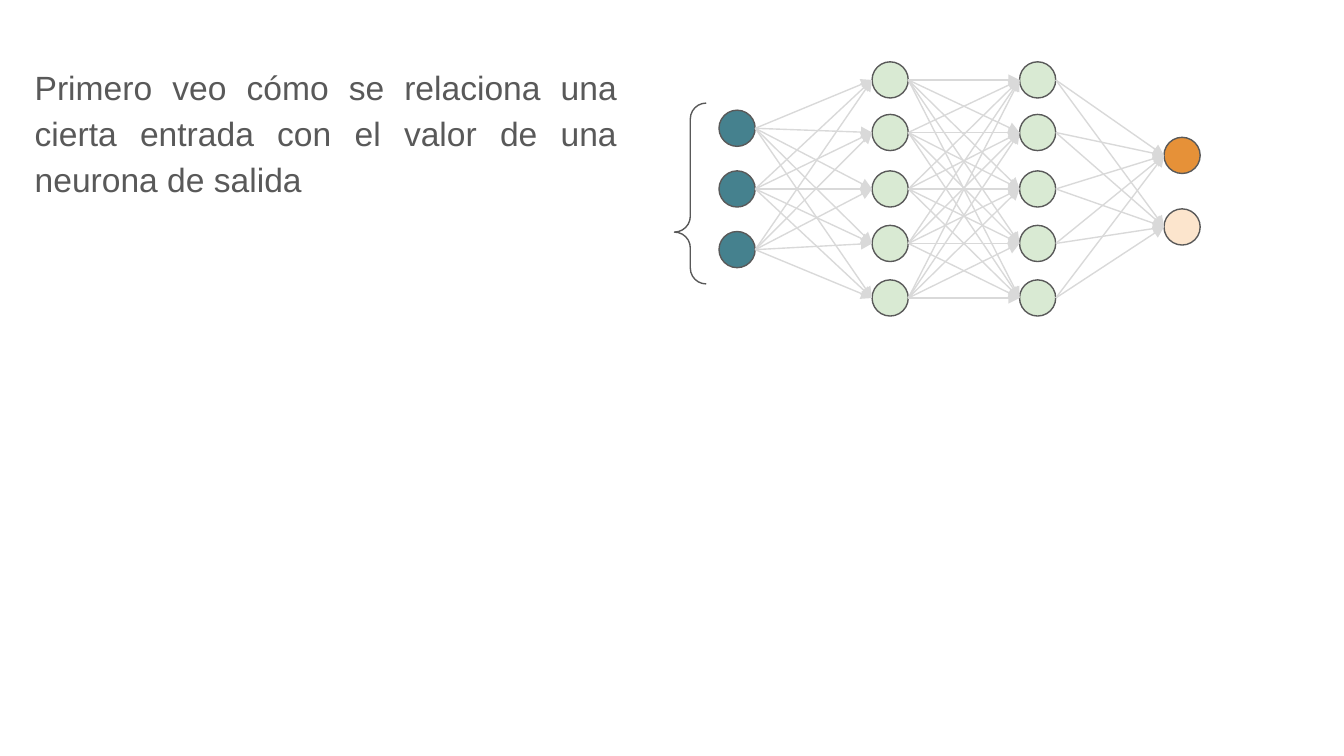
import itertools

import pptx
import pptx.dml.color
import pptx.enum.shapes
import pptx.enum.text
import pptx.oxml.ns
import pptx.util
from lxml import etree

Pt = pptx.util.Pt
SHAPES = pptx.enum.shapes.MSO_SHAPE

# Content
SENTENCE = ("Primero veo cómo se relaciona una cierta entrada "
            "con el valor de una neurona de salida")
SENTENCE_BOX = (11.5, 25.2, 326.2, 134.6)
SENTENCE_FONT = {"name": "Arial", "size": Pt(18)}
SENTENCE_FORMAT = {"alignment": pptx.enum.text.PP_ALIGN.JUSTIFY, "line_spacing": 1.15}

DARK, EDGE = "595959", "D9D9D9"
INPUT, HIDDEN, CHOSEN, OTHER = "45818E", "D9EAD3", "E69138", "FCE5CD"
DIAMETER = 19.4
LINE_WIDTH = 0.75
HIDDEN_CENTERS = (42.85, 71, 101.25, 130.45, 159.65)

# Each layer: left edge, neuron centers from top to bottom, neuron fills
LAYERS = [
    (385.2, (68.75, 101.25, 133.75), (INPUT,) * 3),
    (467.2, HIDDEN_CENTERS, (HIDDEN,) * 5),
    (546.2, HIDDEN_CENTERS, (HIDDEN,) * 5),
    (623.6, (83.3, 121.6), (CHOSEN, OTHER)),
]
BRACE_BOX = (361.3, 55.2, 17, 96.9)
BRACE_ADJUSTMENTS = (0.5, 0.287)


def color(value):
    return pptx.dml.color.RGBColor.from_string(value)


def set_line(line, value):
    line.color.rgb = color(value)
    line.width = Pt(LINE_WIDTH)


def add_outline(parent, kind, bounds, fill=None):
    shape = parent.shapes.add_shape(kind, *map(Pt, bounds))
    shape.shadow.inherit = False
    if fill:
        shape.fill.solid()
        shape.fill.fore_color.rgb = color(fill)
    else:
        shape.fill.background()
    set_line(shape.line, DARK)
    return shape


def add_arrow(parent, start, end):
    arrow = parent.shapes.add_connector(
        pptx.enum.shapes.MSO_CONNECTOR.STRAIGHT, *map(Pt, start + end))
    set_line(arrow.line, EDGE)
    name = pptx.oxml.ns.qn
    etree.SubElement(arrow.line._get_or_add_ln(), name("a:tailEnd"), type="triangle")
    etree.SubElement(arrow._element.spPr, name("a:effectLst"))


deck = pptx.Presentation()
deck.slide_width, deck.slide_height = Pt(720), Pt(405)
page = deck.slides.add_slide(deck.slide_layouts[6])

# Sentence
box = page.shapes.add_textbox(*map(Pt, SENTENCE_BOX))
frame = box.text_frame
frame.word_wrap = True
for side in ("left", "top", "right", "bottom"):
    setattr(frame, f"margin_{side}", Pt(7.2))
para = frame.paragraphs[0]
for key, value in SENTENCE_FORMAT.items():
    setattr(para, key, value)
span = para.add_run()
span.text = SENTENCE
for key, value in SENTENCE_FONT.items():
    setattr(span.font, key, value)
span.font.color.rgb = color(DARK)

# Neurons
network = page.shapes.add_group_shape()
for left, centers, fills in LAYERS:
    for center, fill in zip(centers, fills):
        bounds = (left, center - DIAMETER / 2, DIAMETER, DIAMETER)
        add_outline(network, SHAPES.OVAL, bounds, fill)

# Arrows from every neuron to every neuron of the next layer
for (left, starts, _), (next_left, ends, _) in zip(LAYERS, LAYERS[1:]):
    for start, end in itertools.product(starts, ends):
        add_arrow(network, (left + DIAMETER, start), (next_left, end))

# Brace beside the inputs
brace = add_outline(page, SHAPES.RIGHT_BRACE, BRACE_BOX)
brace.rotation = 180
for index, value in enumerate(BRACE_ADJUSTMENTS):
    brace.adjustments[index] = value

deck.save("out.pptx")
